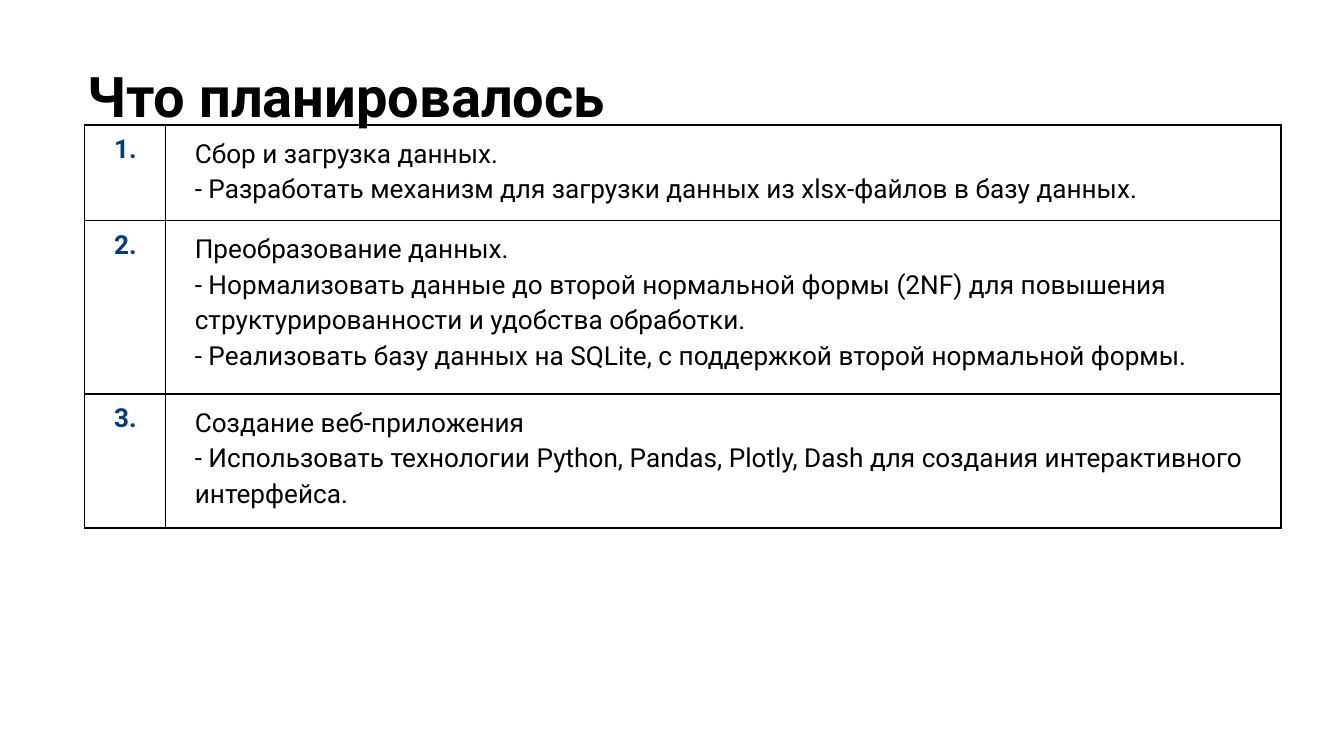
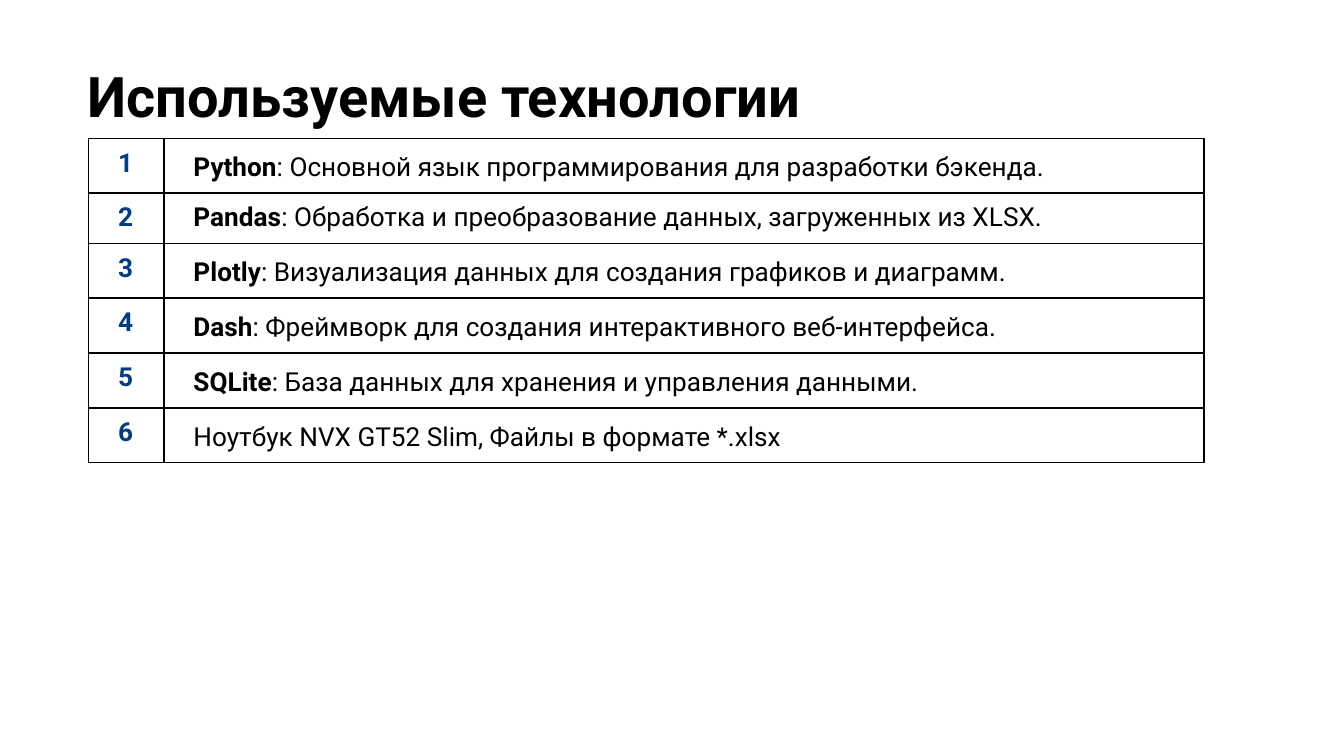
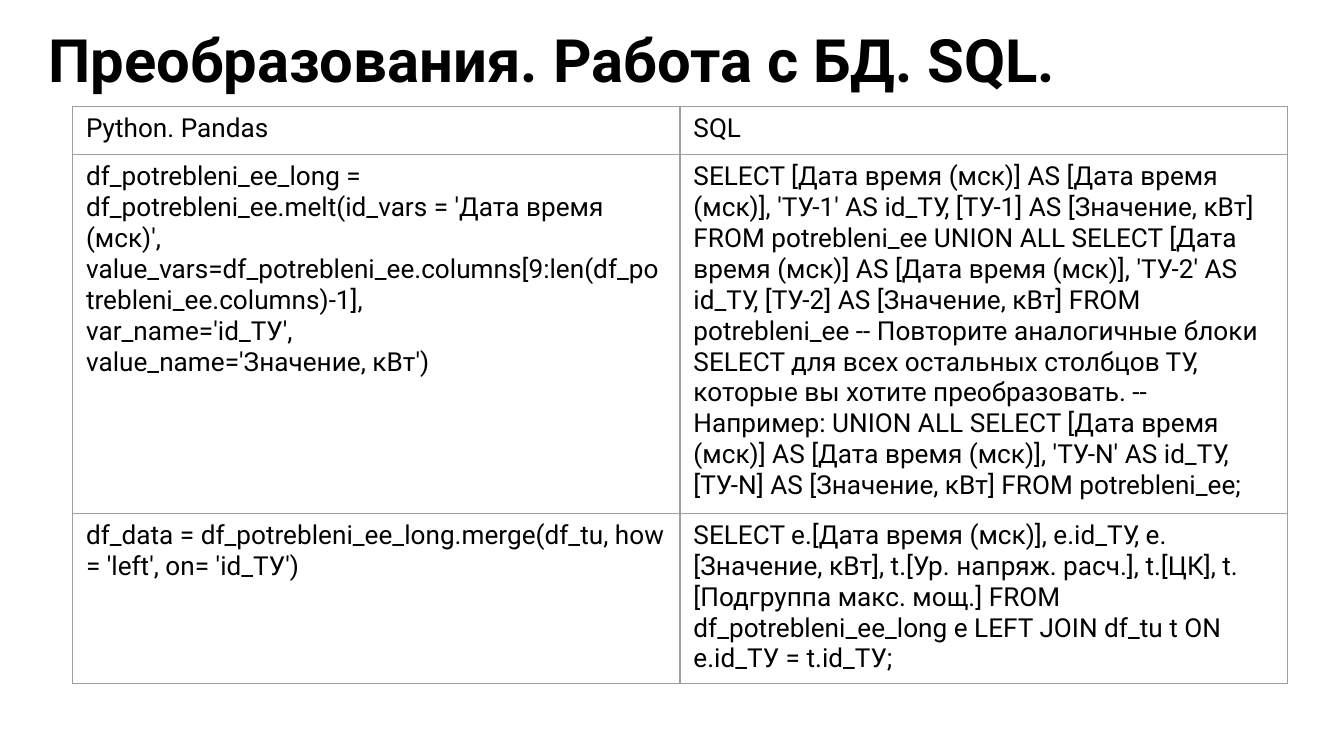
from dataclasses import dataclass

from lxml.etree import SubElement
from pptx import Presentation
from pptx.dml.color import RGBColor
from pptx.enum.text import MSO_ANCHOR
from pptx.oxml.ns import qn
from pptx.util import Inches, Pt


@dataclass(frozen=True)
class Theme:
    font: str = "Roboto"
    ink: str = "000000"
    accent: str = "013D85"
    grid: str = "9E9E9E"
    paper: str = "FFFFFF"
    title: int = 30
    title_large: int = 32
    body: int = 14
    spacing: float = 1.15


THEME = Theme()

# Content: a list row is (number, bold term, lines, least row height)
PLAN = [
    ("1.", "", ["Сбор и загрузка данных.",
                "- Разработать механизм для загрузки данных из xlsx-файлов в базу данных."], 0.71),
    ("2.", "", ["Преобразование данных.",
                "- Нормализовать данные до второй нормальной формы (2NF) для повышения "
                "структурированности и удобства обработки.",
                "- Реализовать базу данных на SQLite, с поддержкой второй нормальной формы."], 1.29),
    ("3.", "", ["Создание веб-приложения",
                "- Использовать технологии Python, Pandas, Plotly, Dash для создания "
                "интерактивного интерфейса."], 1.0),
]
TECHNOLOGIES = [
    ("1", "Python", [": Основной язык программирования для разработки бэкенда."], 0.34),
    ("2", "Pandas", [": Обработка и преобразование данных, загруженных из XLSX."], 0),
    ("3", "Plotly", [": Визуализация данных для создания графиков и диаграмм."], 0.34),
    ("4", "Dash", [": Фреймворк для создания интерактивного веб-интерфейса."], 0.34),
    ("5", "SQLite", [": База данных для хранения и управления данными."], 0.34),
    ("6", "", ["Ноутбук NVX GT52 Slim, Файлы в формате *.xlsx"], 0.34),
]
CODE = [
    ("Python. Pandas", "SQL"),
    ("df_potrebleni_ee_long = df_potrebleni_ee.melt(id_vars = 'Дата время (мск)',\v"
     "value_vars=df_potrebleni_ee.columns[9:len(df_potrebleni_ee.columns)-1],\v"
     "var_name='id_ТУ',\vvalue_name='Значение, кВт')",
     "SELECT [Дата время (мск)] AS [Дата время (мск)], 'ТУ-1' AS id_ТУ, [ТУ-1] AS "
     "[Значение, кВт] FROM potrebleni_ee UNION ALL SELECT [Дата время (мск)] AS "
     "[Дата время (мск)], 'ТУ-2' AS id_ТУ, [ТУ-2] AS [Значение, кВт] FROM potrebleni_ee "
     "-- Повторите аналогичные блоки SELECT для всех остальных столбцов ТУ, которые вы "
     "хотите преобразовать. -- Например: UNION ALL SELECT [Дата время (мск)] AS "
     "[Дата время (мск)], 'ТУ-N' AS id_ТУ, [ТУ-N] AS [Значение, кВт] FROM potrebleni_ee;"),
    ("df_data = df_potrebleni_ee_long.merge(df_tu, how = 'left', on= 'id_ТУ')",
     "SELECT e.[Дата время (мск)], e.id_ТУ, e.[Значение, кВт], t.[Ур. напряж. расч.], "
     "t.[ЦК], t.[Подгруппа макс. мощ.] FROM df_potrebleni_ee_long e LEFT JOIN df_tu t "
     "ON e.id_ТУ = t.id_ТУ;"),
]
CODE_ROW = 0.36


def style(r, size=THEME.body, color=THEME.ink, bold=False):
    r.font.name = THEME.font
    r.font.size = Pt(size)
    r.font.bold = bold
    r.font.color.rgb = RGBColor.from_string(color)


def add_slide(prs, title, left=0.55, top=0.36, height=1.2, size=THEME.title):
    s = prs.slides.add_slide(prs.slide_layouts[6])
    s.background.fill.solid()
    s.background.fill.fore_color.rgb = RGBColor.from_string(THEME.paper)
    tf = s.shapes.add_textbox(Inches(left), Inches(top), Inches(9.32), Inches(height)).text_frame
    tf.word_wrap = True
    tf.vertical_anchor = MSO_ANCHOR.TOP
    tf.margin_left = tf.margin_right = tf.margin_top = tf.margin_bottom = Inches(0.1)
    tf.text = title
    style(tf.paragraphs[0].runs[0], size, bold=True)
    return s


def set_borders(cell, color, width):
    tc_pr = cell._tc.get_or_add_tcPr()
    for side in ("lnL", "lnR", "lnT", "lnB"):
        ln = SubElement(tc_pr, qn(f"a:{side}"), w=str(Pt(width)))
        fill = SubElement(ln, qn("a:solidFill"))
        SubElement(fill, qn("a:srgbClr"), val=color)


def add_grid(s, left, top, height, widths, row_heights, color, line):
    sp = s.shapes.add_table(len(row_heights), len(widths), Inches(left), Inches(top),
                            Inches(sum(widths)), Inches(height))
    table = sp.table
    table.first_row = table.horz_banding = False
    for column, width in zip(table.columns, widths):
        column.width = Inches(width)
    for row, row_height in zip(table.rows, row_heights):
        row.height = Inches(row_height)
    # Rows grow with their text, so the frame keeps its own height
    sp.height = Inches(height)
    for cell in table.iter_cells():
        set_borders(cell, color, line)
        cell.fill.background()
    return table


def add_numbered_table(s, left, top, height, widths, rows):
    table = add_grid(s, left, top, height, widths, [row[-1] for row in rows], THEME.ink, 1)
    for cell in table.iter_cells():
        cell.margin_left = Inches(0.22)
        cell.margin_top = cell.margin_bottom = Inches(0.07)
    for i, (number, term, lines, _) in enumerate(rows):
        number_cell, text_cell = table.cell(i, 0), table.cell(i, 1)
        number_cell.text_frame.text = number
        style(number_cell.text_frame.paragraphs[0].runs[0], color=THEME.accent, bold=True)
        tf = text_cell.text_frame
        for j, line in enumerate(lines):
            p = tf.paragraphs[0] if j == 0 else tf.add_paragraph()
            # The Pandas row is set tighter than the others
            p.line_spacing = 1.0 if term == "Pandas" else THEME.spacing
            for text, bold in ((term, True), (line, False)):
                if text:
                    r = p.add_run()
                    r.text = text
                    style(r, bold=bold)


def add_code_table(s, left, top, height, widths, rows):
    table = add_grid(s, left, top, height, widths, [CODE_ROW] * len(rows), THEME.grid, 0.75)
    for i, row in enumerate(rows):
        for j, text in enumerate(row):
            p = table.cell(i, j).text_frame.paragraphs[0]
            p.text = text
            for r in p.runs:
                style(r)


def main():
    prs = Presentation()
    prs.slide_width = Inches(10)
    prs.slide_height = prs.slide_width * 9 // 16

    # Plan
    s = add_slide(prs, "Что планировалось")
    add_numbered_table(s, 0.63, 0.93, 3.01, (0.6, 8.3), PLAN)

    # Technologies
    s = add_slide(prs, "Используемые технологии")
    add_numbered_table(s, 0.66, 1.03, 2.38, (0.56, 7.74), TECHNOLOGIES)

    # Pandas and SQL side by side
    s = add_slide(prs, "Преобразования. Работа с БД. SQL.", 0.26, 0.07, 0.87, THEME.title_large)
    add_code_table(s, 0.54, 0.79, 4.29, (4.52, 4.52), CODE)

    prs.save("out.pptx")


if __name__ == "__main__":
    main()
